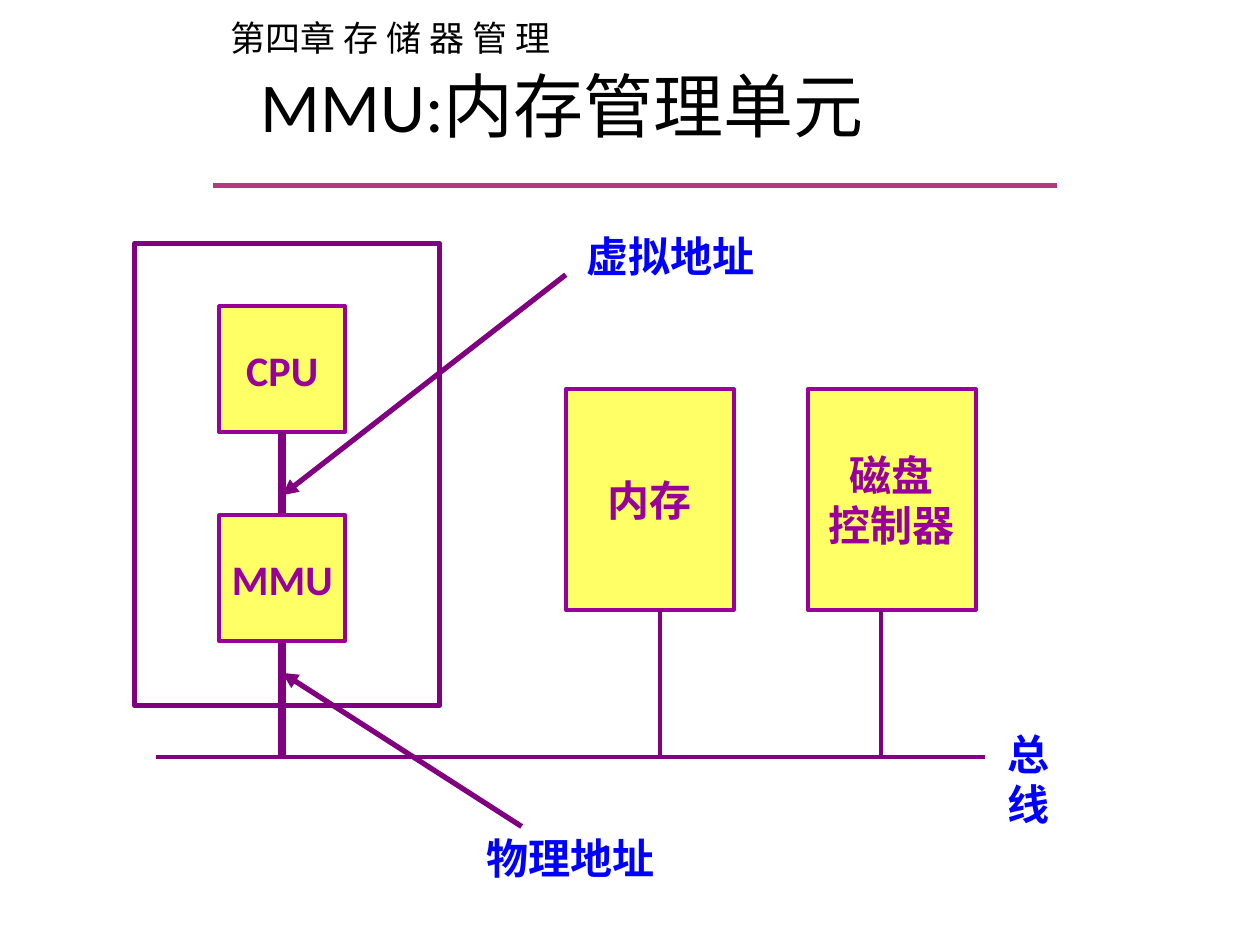
from dataclasses import dataclass

from lxml import etree
from pptx import Presentation
from pptx import util as u
from pptx.dml.color import RGBColor
from pptx.enum import shapes, text
from pptx.oxml import ns


@dataclass(frozen=True)
class Theme:
    """Colours, fonts and type sizes of the slide."""

    black: str = "000000"
    rule: str = "B23A7D"
    wire: str = "800080"
    border: str = "990099"
    block: str = "FFFF66"
    label: str = "0000FF"
    latin: str = "Calibri"
    asian: str = "Noto Sans CJK SC"
    title_size: int = 40
    label_size: int = 24
    chapter_size: int = 20
    thin: float = 2.25
    medium: float = 3
    thick: float = 4.5


class SlideBuilder:
    """Draws diagram elements on the current slide in one style."""

    def __init__(self, slide, theme):
        self.slide = slide
        self.theme = theme

    def set_text(self, frame, words, size, color, bold=False, align=None, font=None):
        """Fill a text frame and format its runs."""
        frame.text = words
        for paragraph in frame.paragraphs:
            paragraph.alignment = align
            for run in paragraph.runs:
                run.font.name = font or self.theme.latin
                run.font.size = u.Pt(size)
                run.font.bold = bold
                run.font.color.rgb = RGBColor.from_string(color)
                properties = run.font._element
                asian = etree.SubElement(properties, ns.qn("a:ea"))
                asian.set("typeface", self.theme.asian)

    def title(self, words, left, top, width, height):
        """Place and format the title placeholder."""
        shape = self.slide.shapes.title
        shape.left, shape.top = u.Pt(left), u.Pt(top)
        shape.width, shape.height = u.Pt(width), u.Pt(height)
        shape.text_frame.vertical_anchor = text.MSO_ANCHOR.MIDDLE
        self.set_text(shape.text_frame, words, self.theme.title_size,
                      self.theme.black, align=text.PP_ALIGN.CENTER)

    def textbox(self, words, left, top, width, height, wrap=False, **style):
        """Add a text box that grows with its text."""
        box = self.slide.shapes.add_textbox(*map(u.Pt, (left, top, width, height)))
        box.text_frame.word_wrap = wrap
        box.text_frame.auto_size = text.MSO_AUTO_SIZE.SHAPE_TO_FIT_TEXT
        self.set_text(box.text_frame, words, **style)

    def label(self, words, left, top, width, wrap=True):
        """Add a bold diagram label."""
        self.textbox(words, left, top, width, 36, wrap, bold=True,
                     size=self.theme.label_size, color=self.theme.label)

    def rectangle(self, left, top, width, height, color, weight, fill=None):
        """Add an outlined rectangle, filled when a fill is given."""
        shape = self.slide.shapes.add_shape(
            shapes.MSO_SHAPE.RECTANGLE, *map(u.Pt, (left, top, width, height)))
        shape.shadow.inherit = False
        shape.line.color.rgb = RGBColor.from_string(color)
        shape.line.width = u.Pt(weight)
        if fill:
            shape.fill.solid()
            shape.fill.fore_color.rgb = RGBColor.from_string(fill)
        else:
            shape.fill.background()
        return shape

    def block(self, words, left, top, width, height):
        """Add a hardware block with a centred name."""
        shape = self.rectangle(left, top, width, height, self.theme.border,
                               self.theme.thin, self.theme.block)
        frame = shape.text_frame
        frame.word_wrap = False
        frame.vertical_anchor = text.MSO_ANCHOR.MIDDLE
        self.set_text(frame, words, self.theme.label_size, self.theme.border,
                      bold=True, align=text.PP_ALIGN.CENTER)

    def line(self, start, end, weight, color=None, arrow=False):
        """Add a straight line, with an arrowhead at its end if asked."""
        connector = self.slide.shapes.add_connector(
            shapes.MSO_CONNECTOR.STRAIGHT, *map(u.Pt, (*start, *end)))
        connector.line.color.rgb = RGBColor.from_string(color or self.theme.wire)
        connector.line.width = u.Pt(weight)
        properties = connector._element.spPr
        etree.SubElement(properties, ns.qn("a:effectLst"))
        if arrow:
            tail = etree.SubElement(properties.find(ns.qn("a:ln")), ns.qn("a:tailEnd"))
            tail.set("type", "triangle")


def main():
    """Build the memory management unit slide."""
    presentation = Presentation()
    presentation.slide_width, presentation.slide_height = u.Pt(720), u.Pt(540)
    theme = Theme()
    slide = presentation.slides.add_slide(presentation.slide_layouts[5])
    builder = SlideBuilder(slide, theme)

    builder.title("MMU:内存管理单元", 36, 25.2, 570.4, 69)
    builder.textbox("第四章 存 储 器 管 理", 124.6, 5.8, 201.6, 31.5,
                    size=theme.chapter_size, color=theme.black, font=theme.asian)
    builder.line((121.9, 106), (604.1, 106), theme.medium, theme.rule)

    bus_y, chip_x, chip_side = 432.6, 125.3, 72
    wire_x = chip_x + chip_side / 2
    cpu_y, mmu_y = 175, 294.5
    for name, top, wire_end in (("CPU", cpu_y, mmu_y), ("MMU", mmu_y, bus_y)):
        builder.block(name, chip_x, top, chip_side, chip_side)
        builder.line((wire_x, top + chip_side), (wire_x, wire_end), theme.thick)

    builder.line((89.3, bus_y), (563, bus_y), theme.thin)
    device_y, device_height = 222.5, 126
    for name, left, drop_x in (("内存", 323.3, 377.3), ("磁盘\n控制器", 461.5, 503.3)):
        builder.block(name, left, device_y, 96, device_height)
        builder.line((drop_x, device_y + device_height), (drop_x, bus_y), theme.thin)

    builder.rectangle(77, 139, 174.2, 264.2, theme.wire, theme.medium)
    builder.label("总线", 568.8, 412.6, 61.9, wrap=False)
    builder.line((323.3, 157), (wire_x, 283), theme.medium, arrow=True)
    builder.line((298.1, 472.3), (wire_x, 384.5), theme.medium, arrow=True)
    builder.label("虚拟地址", 328.3, 128.2, 114.5)
    builder.label("物理地址", 270.7, 472.3, 112.3)

    presentation.save("out.pptx")


if __name__ == "__main__":
    main()
